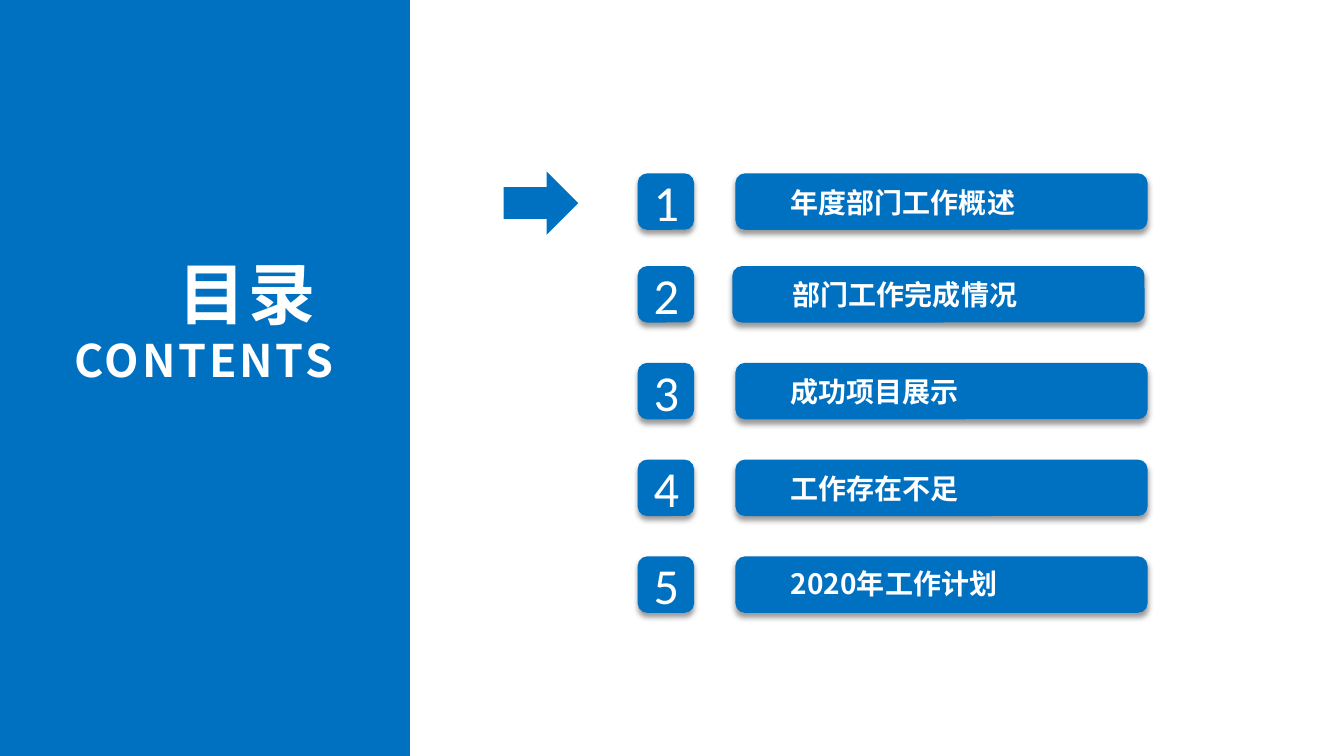
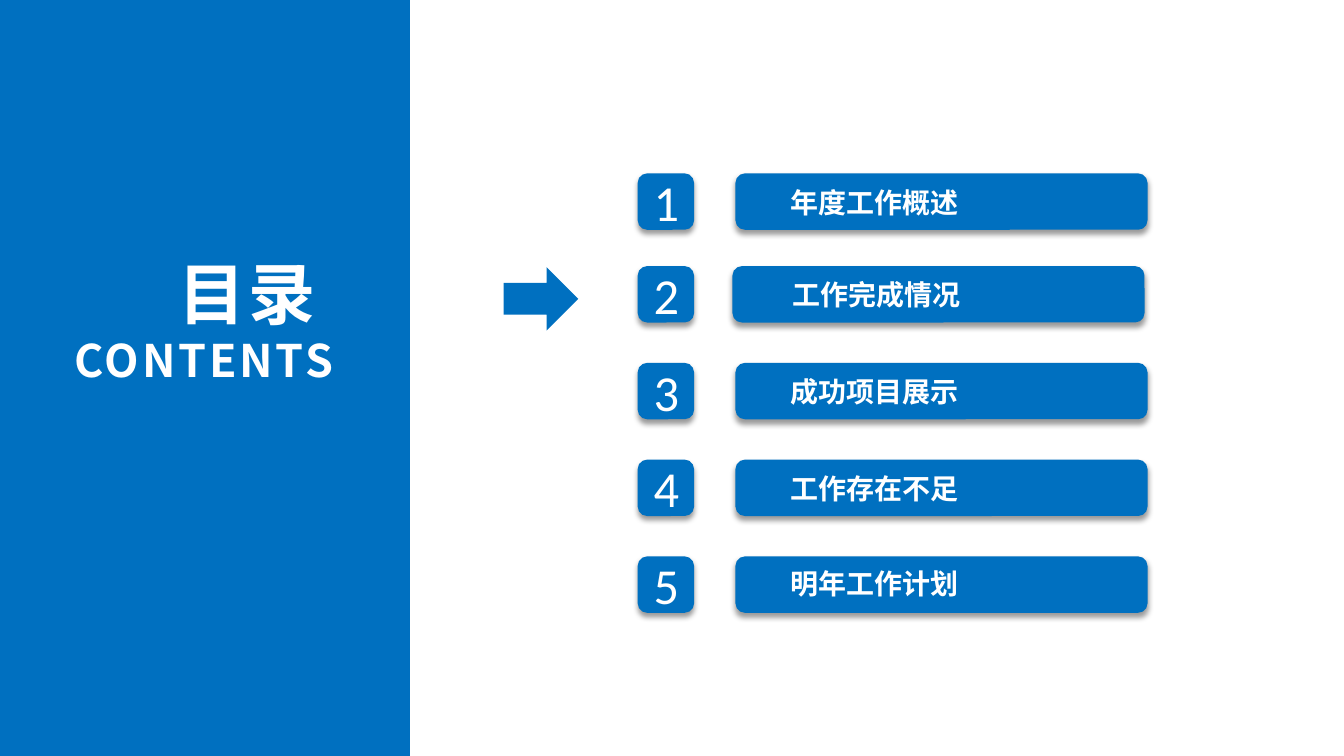
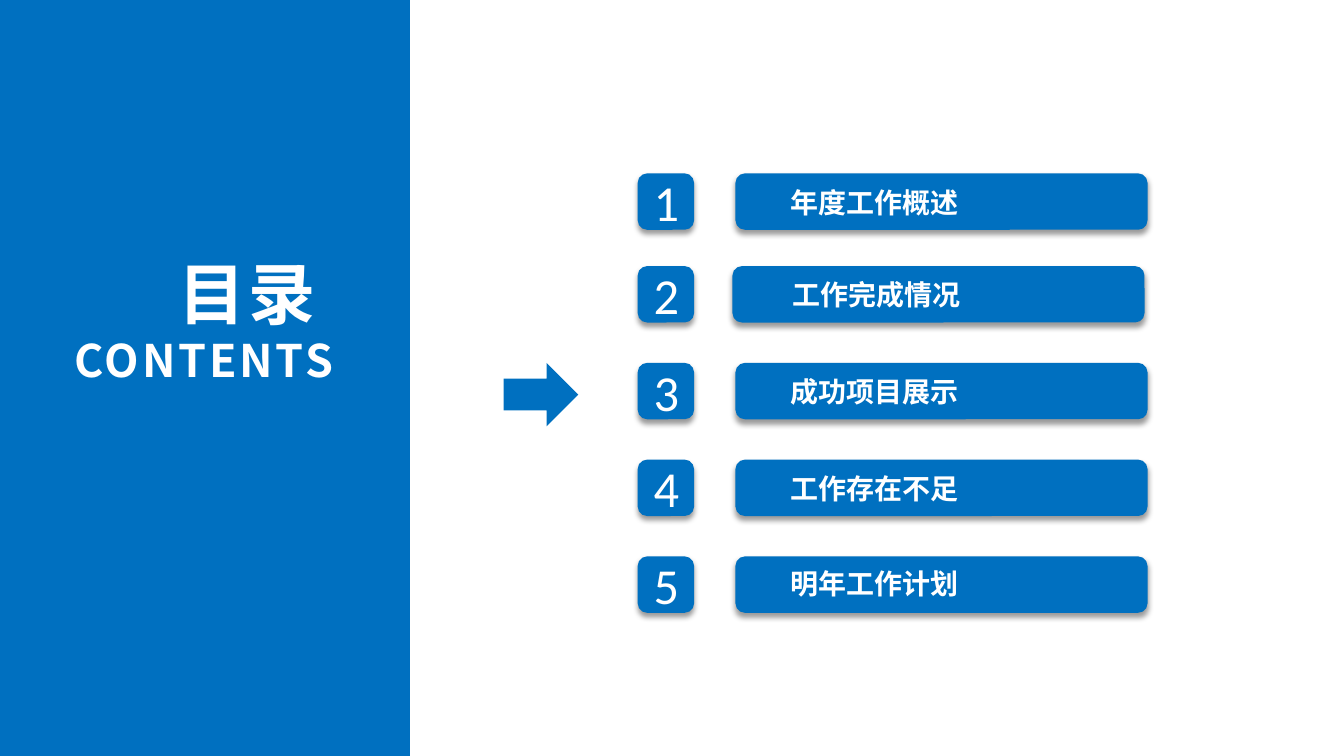
from lxml.etree import SubElement
from pptx import Presentation
from pptx.dml.color import RGBColor
from pptx.enum.shapes import MSO_SHAPE
from pptx.enum.text import MSO_ANCHOR, MSO_AUTO_SIZE, PP_ALIGN
from pptx.oxml.ns import qn
from pptx.util import Inches, Pt

# Shared look
WIDE, HIGH = 13.34, 7.5
COLORS = {"blue": "0070C0", "white": "FFFFFF", "black": "000000"}
HAN = "Noto Sans CJK SC"
HEAD = {"name": HAN, "size": Pt(48), "bold": True}
SUB = {"name": HAN, "size": Pt(32), "bold": True}
ITEM = {"name": HAN, "size": Pt(20), "bold": True}
DIGIT = {"name": "Calibri", "size": Pt(36), "bold": False}
PADS = {"margin_left": 0.13, "margin_right": 0.13,
        "margin_top": 0.07, "margin_bottom": 0.07}

# Grid: columns, then row tops (the first gap is a little tighter)
COLS = {"arrow": 5, "digit": 6.33, "bar": 7.3, "label": 7.72}
SIDE = 0.56
ROWS = [1.72] + [2.64 + 0.96 * i for i in range(4)]
STEP = 0.95
NUDGE = {1: (-0.03, 0.02)}  # row: shift of bar, shift of label
DROPS = [0.05, 0.04, 0.05, 0.05, 0.03]

# Contents of each slide
REST = ["成功项目展示", "工作存在不足"]
PLAIN = ["年度工作概述", "工作完成情况", *REST, "明年工作计划"]
FIRST = ["年度部门工作概述", "部门工作完成情况", *REST, "2020年工作计划"]
LISTS = [FIRST, PLAIN, PLAIN]


def hue(name):
    return RGBColor.from_string(COLORS[name])


def box(x, y, w, h):
    return [Inches(n) for n in (x, y, w, h)]


def block(shapes, kind, area):
    """Add a flat blue shape."""
    shape = shapes.add_shape(kind, *area)
    shape.shadow.inherit = False
    shape.fill.solid()
    shape.fill.fore_color.rgb = hue("blue")
    shape.line.fill.background()
    return shape


def raised(shapes, area):
    """Add a rounded block with a soft shadow below it."""
    shape = block(shapes, MSO_SHAPE.ROUNDED_RECTANGLE, area)
    effects = shape.element.spPr.find(qn("a:effectLst"))
    shade = SubElement(effects, qn("a:outerShdw"), blurRad=str(Pt(4)),
                       dist=str(Pt(3)), dir="5400000", rotWithShape="0")
    tint = SubElement(shade, qn("a:srgbClr"), val=COLORS["black"])
    SubElement(tint, qn("a:alpha"), val="40000")
    return shape


def write(shape, lines, align, anchor, space=None):
    """Fill a shape with (text, format) lines in white."""
    frame = shape.text_frame
    frame.word_wrap = True
    frame.vertical_anchor = anchor
    for side, pad in PADS.items():
        setattr(frame, side, Inches(pad))
    for i, (text, form) in enumerate(lines):
        para = frame.add_paragraph() if i else frame.paragraphs[0]
        para.alignment = align
        run = para.add_run()
        run.text = text
        for key, value in form.items():
            setattr(run.font, key, value)
        run.font.color.rgb = hue("white")
        props = run.font._element
        SubElement(props, qn("a:ea"), typeface=form["name"])
        if space:
            props.set("spc", str(space))
    return frame


def panel(slide):
    """Blue side panel with the slide title on top."""
    block(slide.shapes, MSO_SHAPE.RECTANGLE, box(0, 0, 4.07, HIGH))
    title = slide.shapes.title
    title.left, title.top, title.width, title.height = box(0.37, 2.43, 3.07, 1.48)
    frame = write(title, [("目录 ", HEAD), ("CONTENTS", SUB)],
                  PP_ALIGN.RIGHT, MSO_ANCHOR.TOP, space=200)
    frame.auto_size = MSO_AUTO_SIZE.SHAPE_TO_FIT_TEXT
    slide.shapes.element.append(title.element)  # bring to front


def entry(slide, row, text):
    """One numbered line of the contents."""
    top = ROWS[row]
    digit = raised(slide.shapes, box(COLS["digit"], top, SIDE, SIDE))
    write(digit, [(str(row + 1), DIGIT)], PP_ALIGN.CENTER, MSO_ANCHOR.MIDDLE)
    shift, move = NUDGE.get(row, (0, 0))
    group = slide.shapes.add_group_shape().shapes
    raised(group, box(COLS["bar"] + shift, top, 4.09, SIDE))
    label = group.add_textbox(
        *box(COLS["label"] + move, top + DROPS[row], 2.9, 0.47))
    frame = write(label, [(text, ITEM)], PP_ALIGN.LEFT, MSO_ANCHOR.TOP)
    frame.auto_size = MSO_AUTO_SIZE.SHAPE_TO_FIT_TEXT


def arrow(slide, row):
    """Pointer to the current part."""
    area = box(COLS["arrow"], 1.7 + STEP * row, 0.74, 0.63)
    block(slide.shapes, MSO_SHAPE.RIGHT_ARROW, area)


def main():
    deck = Presentation()
    deck.slide_width, deck.slide_height = Inches(WIDE), Inches(HIGH)
    layout = deck.slide_layouts.get_by_name("Title Only")
    for part, items in enumerate(LISTS):
        slide = deck.slides.add_slide(layout)
        panel(slide)
        for row, text in enumerate(items):
            entry(slide, row, text)
        arrow(slide, part)
    deck.save("out.pptx")


if __name__ == "__main__":
    main()
